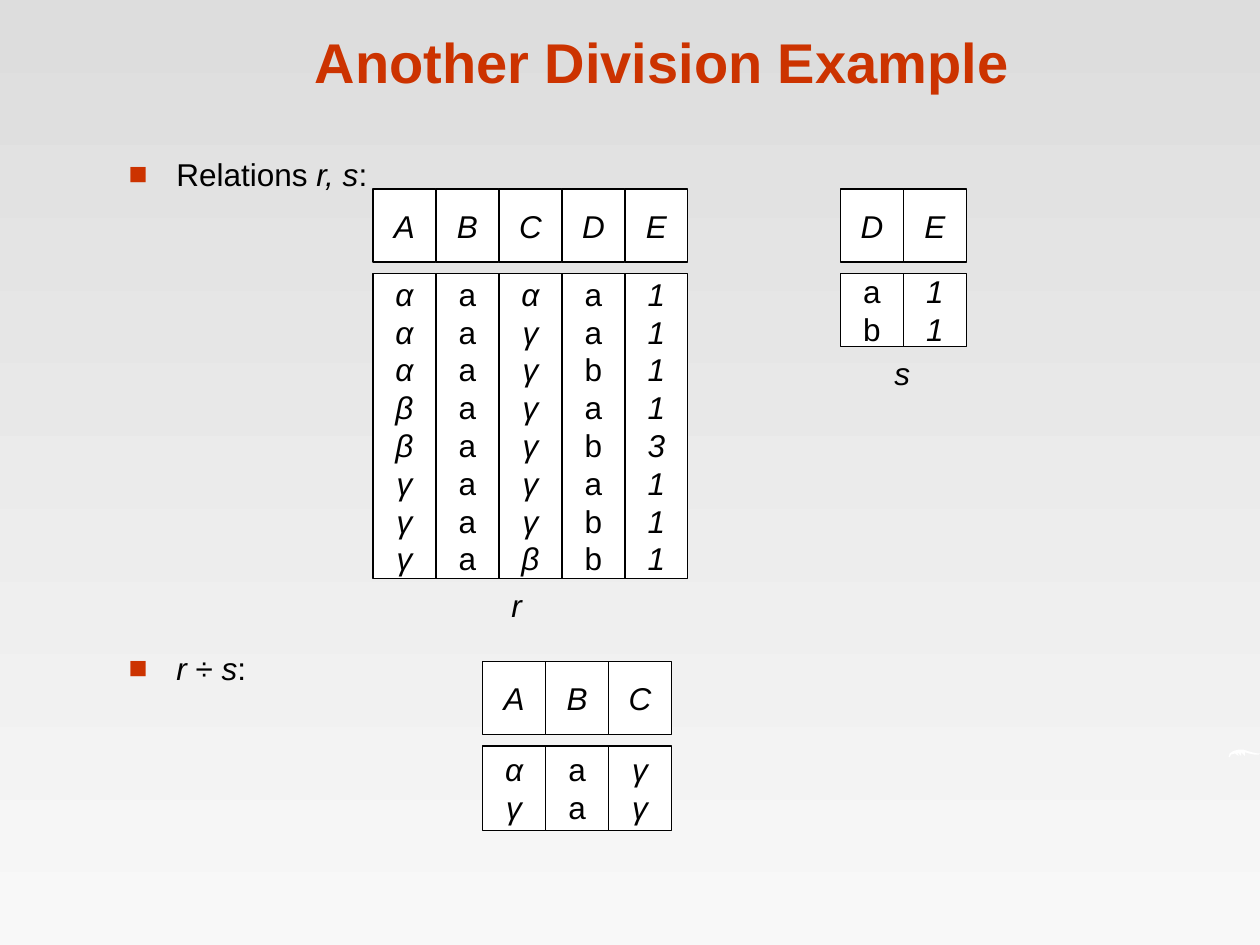
import dataclasses

import lxml.etree
import pptx
import pptx.dml.color
import pptx.enum.text
import pptx.oxml.ns
import pptx.util

Inches = pptx.util.Inches
Pt = pptx.util.Pt
RGB = pptx.dml.color.RGBColor.from_string
qn = pptx.oxml.ns.qn
ALIGN = pptx.enum.text.PP_ALIGN
ANCHOR = pptx.enum.text.MSO_ANCHOR
AUTO_SIZE = pptx.enum.text.MSO_AUTO_SIZE


@dataclasses.dataclass(frozen=True)
class Theme:
    font: str = "Arial"
    accent: str = "CC3300"
    ink: str = "000000"
    paper: str = "FFFFFF"
    sky: str = "DDDDDD"
    ground: str = "F8F8F8"
    title_size: int = 32
    text_size: int = 18
    row_pitch: float = 21.6
    border: float = 0.75


class SlideBuilder:
    cell_width = 0.5
    header_height = 0.58
    body_offset = 0.67

    def __init__(self, slide, theme):
        self.slide = slide
        self.theme = theme

    def background(self):
        fill = self.slide.background.fill
        fill.gradient()
        fill.gradient_angle = 270
        for stop, color in zip(fill.gradient_stops, (self.theme.sky, self.theme.ground)):
            stop.color.rgb = RGB(color)

    def style(self, run, italic=False, bold=False, size=None, color=None):
        run.font.name = self.theme.font
        run.font.size = Pt(size or self.theme.text_size)
        run.font.color.rgb = RGB(color or self.theme.ink)
        run.font.italic = italic
        run.font.bold = bold

    def place(self, shape, left, top, width, height):
        shape.left, shape.top = Inches(left), Inches(top)
        shape.width, shape.height = Inches(width), Inches(height)

    def swoosh(self, outline):
        builder = self.slide.shapes.build_freeform(*outline[0], scale=Inches(0.01))
        builder.add_line_segments(outline[1:], close=True)
        curve = builder.convert_to_shape()
        curve.shadow.inherit = False
        curve.fill.solid()
        curve.fill.fore_color.rgb = RGB(self.theme.paper)
        curve.line.fill.background()

    def title(self, text, *box):
        heading = self.slide.shapes.title
        self.place(heading, *box)
        frame = heading.text_frame
        frame.text = text
        frame.auto_size = AUTO_SIZE.NONE
        frame.vertical_anchor = ANCHOR.BOTTOM
        frame.paragraphs[0].alignment = ALIGN.CENTER
        self.style(frame.paragraphs[0].runs[0], bold=True,
                   size=self.theme.title_size, color=self.theme.accent)

    def bullet(self, index, parts, *box):
        item = self.slide.placeholders[index]
        self.place(item, *box)
        frame = item.text_frame
        frame.auto_size = AUTO_SIZE.NONE
        frame.vertical_anchor = ANCHOR.TOP
        paragraph = frame.paragraphs[0]
        paragraph.space_before = Pt(7.9)
        for text, italic in parts:
            run = paragraph.add_run()
            run.text = text
            self.style(run, italic=italic)
        properties = paragraph._p.get_or_add_pPr()
        properties.set("marL", str(Inches(0.38)))
        properties.set("indent", str(-Inches(0.38)))
        bullet_color = lxml.etree.SubElement(properties, qn("a:buClr"))
        lxml.etree.SubElement(bullet_color, qn("a:srgbClr"), val=self.theme.accent)
        lxml.etree.SubElement(properties, qn("a:buFont"), typeface=self.theme.font)
        lxml.etree.SubElement(properties, qn("a:buChar"), char="■")

    def cell(self, values, *box):
        rectangle = self.slide.shapes.add_shape(
            pptx.enum.shapes.MSO_SHAPE.RECTANGLE, *map(Inches, box))
        rectangle.shadow.inherit = False
        rectangle.fill.solid()
        rectangle.fill.fore_color.rgb = RGB(self.theme.paper)
        rectangle.line.color.rgb = RGB(self.theme.ink)
        rectangle.line.width = Pt(self.theme.border)
        frame = rectangle.text_frame
        frame.word_wrap = False
        frame.vertical_anchor = ANCHOR.MIDDLE
        frame.text = "\n".join(values)
        for paragraph in frame.paragraphs:
            paragraph.alignment = ALIGN.CENTER
            paragraph.line_spacing = Pt(self.theme.row_pitch)
            self.style(paragraph.runs[0], italic=paragraph.text not in "ab")

    def relation(self, columns, left, top, body_height):
        for index, (attribute, values) in enumerate(columns.items()):
            column_left = left + index * self.cell_width
            self.cell(attribute, column_left, top, self.cell_width, self.header_height)
            self.cell(values, column_left, top + self.body_offset,
                      self.cell_width, body_height)

    def label(self, text, *box):
        caption = self.slide.shapes.add_textbox(*map(Inches, box))
        frame = caption.text_frame
        frame.word_wrap = False
        frame.auto_size = AUTO_SIZE.SHAPE_TO_FIT_TEXT
        frame.vertical_anchor = ANCHOR.MIDDLE
        frame.text = text
        paragraph = frame.paragraphs[0]
        paragraph.alignment = ALIGN.CENTER
        paragraph.space_before = Pt(11.2)
        self.style(paragraph.runs[0], italic=True)


def main():
    deck = pptx.Presentation()
    deck.slide_width, deck.slide_height = Inches(10), Inches(7.5)
    page = SlideBuilder(deck.slides.add_slide(deck.slide_layouts[3]), Theme())

    page.background()
    page.swoosh([(975, 601), (976, 598), (979, 596), (983, 595), (987, 595),
                 (993, 597), (998, 598), (1000, 598), (999, 599), (996, 599),
                 (991, 598), (988, 597), (988, 600), (985, 597), (985, 600),
                 (982, 597), (983, 600), (980, 598), (977, 599), (976, 601)])
    page.title("Another Division Example", 0.84, 0.13, 8.83, 0.67)
    page.bullet(1, [("Relations ", False), ("r, s", True), (":", False)],
                0.92, 1.18, 2.33, 0.36)
    page.bullet(2, [("r ", True), ("÷ ", False), ("s", True), (":", False)],
                0.92, 5.1, 1.42, 0.36)

    page.relation({"A": "αααββγγγ", "B": "aaaaaaaa", "C": "αγγγγγγβ",
                   "D": "aabababb", "E": "11113111"}, 2.96, 1.5, 2.42)
    page.relation({"D": "ab", "E": "11"}, 6.67, 1.5, 0.58)
    page.relation({"A": "αγ", "B": "aa", "C": "γγ"}, 3.83, 5.25, 0.67)
    page.label("r", 3.96, 4.6, 0.28, 0.4)
    page.label("s", 7, 2.76, 0.32, 0.4)

    deck.save("out.pptx")


if __name__ == "__main__":
    main()
